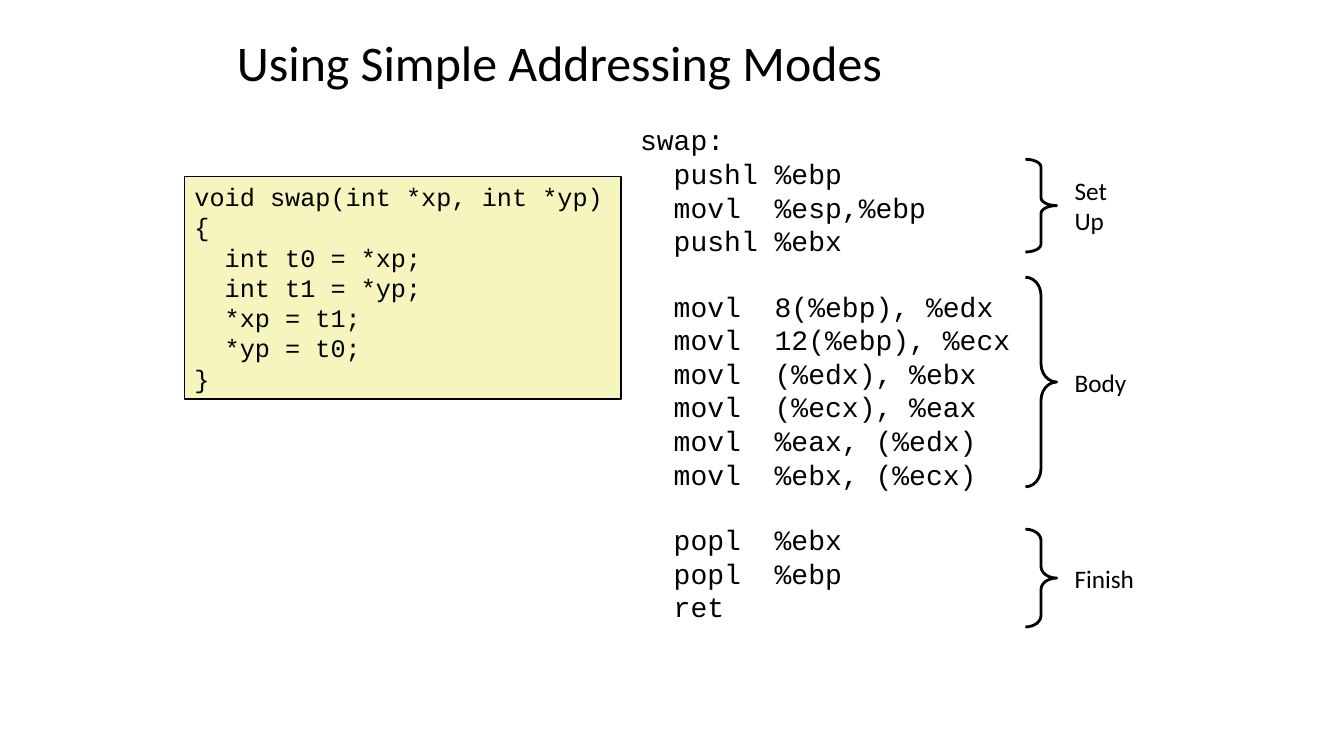
from pptx import Presentation
from pptx.dml.color import RGBColor
from pptx.enum.shapes import MSO_SHAPE
from pptx.enum.text import MSO_ANCHOR, MSO_AUTO_SIZE, PP_ALIGN
from pptx.util import Inches, Pt

RECTANGLE, BRACE = MSO_SHAPE.RECTANGLE, MSO_SHAPE.RIGHT_BRACE
LEFT, TOP, MIDDLE = PP_ALIGN.LEFT, MSO_ANCHOR.TOP, MSO_ANCHOR.MIDDLE
NO_AUTOFIT = MSO_AUTO_SIZE.NONE

COLOURS = {"ink": "000000", "code panel": "F6F5BD"}
TEXT_FONT, CODE_FONT = "Calibri", "Courier New"
BLANK_LINE = Pt(22.66)  # one line of 20 pt code

C_CODE = [
    "void swap(int *xp, int *yp)",
    "{",
    "  int t0 = *xp;",
    "  int t1 = *yp;",
    "  *xp = t1;",
    "  *yp = t0;",
    "}",
]
ASSEMBLY_SECTIONS = [
    ["swap:", "  pushl %ebp", "  movl  %esp,%ebp", "  pushl %ebx"],
    [
        "  movl  8(%ebp), %edx",
        "  movl  12(%ebp), %ecx",
        "  movl  (%edx), %ebx",
        "  movl  (%ecx), %eax",
        "  movl  %eax, (%edx)",
        "  movl  %ebx, (%ecx)",
    ],
    ["  popl  %ebx", "  popl  %ebp", "  ret"],
]
# label lines, brace top, brace height, curl of the brace
STAGES = [
    (["Set", "Up"], 1.58, 0.92, 0.25),
    (["Body"], 2.75, 2.08, 0.585),
    (["Finish"], 5.25, 0.97, 0.362),
]


def colour(name):
    return RGBColor.from_string(COLOURS[name])


def inches(box):
    return [Inches(length) for length in box]


def write_lines(frame, lines, font_name, size, anchor=TOP):
    frame.word_wrap = True
    frame.auto_size = NO_AUTOFIT
    frame.vertical_anchor = anchor
    for index, line in enumerate(lines):
        paragraph = frame.add_paragraph() if index else frame.paragraphs[0]
        paragraph.text = line
        paragraph.alignment = LEFT
        paragraph.font.name = font_name
        paragraph.font.size = Pt(size)
        paragraph.font.color.rgb = colour("ink")


def outline(shape, width):
    shape.shadow.inherit = False
    shape.line.color.rgb = colour("ink")
    shape.line.width = Pt(width)


def add_title(slide, box):
    title = slide.shapes.title
    title.left, title.top, title.width, title.height = inches(box)
    write_lines(title.text_frame, ["Using Simple Addressing Modes"], TEXT_FONT, 35.6, MIDDLE)
    title.text_frame.paragraphs[0].line_spacing = 0.9


def add_c_code(slide, box):
    panel = slide.shapes.add_shape(RECTANGLE, *inches(box))
    outline(panel, 1)
    panel.fill.solid()
    panel.fill.fore_color.rgb = colour("code panel")
    write_lines(panel.text_frame, C_CODE, CODE_FONT, 18)


def add_assembly(slide, box):
    frame = slide.shapes.add_textbox(*inches(box)).text_frame
    write_lines(frame, sum(ASSEMBLY_SECTIONS, []), CODE_FONT, 20)
    section_start = 0
    for section in ASSEMBLY_SECTIONS[:-1]:
        section_start += len(section)
        frame.paragraphs[section_start].space_before = BLANK_LINE


def add_stage(slide, box, label_lines, curl):
    """Draw a brace at the left of the box and its label centred beside it."""
    left, top, width, height = box
    brace_width, label_offset = 0.31, 0.39
    brace = slide.shapes.add_shape(BRACE, *inches((left, top, brace_width, height)))
    brace.adjustments[0] = curl
    brace.fill.background()
    outline(brace, 2)
    label_height = 0.1 + 0.3 * len(label_lines)
    label_top = top + (height - label_height) / 2
    label_box = (left + label_offset, label_top, width - label_offset, label_height)
    label = slide.shapes.add_textbox(*inches(label_box))
    write_lines(label.text_frame, label_lines, TEXT_FONT, 18, MIDDLE)


def main():
    presentation = Presentation()
    presentation.slide_width, presentation.slide_height = Inches(13.33), Inches(7.5)
    slide = presentation.slides.add_slide(presentation.slide_layouts[5])
    add_title(slide, (2.25, 0.33, 8.37, 0.63))
    add_c_code(slide, (1.83, 1.75, 4.33, 2.21))
    for label_lines, top, height, curl in STAGES:
        add_stage(slide, (10.17, top, 1.25, height), label_lines, curl)
    add_assembly(slide, (6.25, 1.17, 4.58, 5.15))
    presentation.save("out.pptx")


if __name__ == "__main__":
    main()
